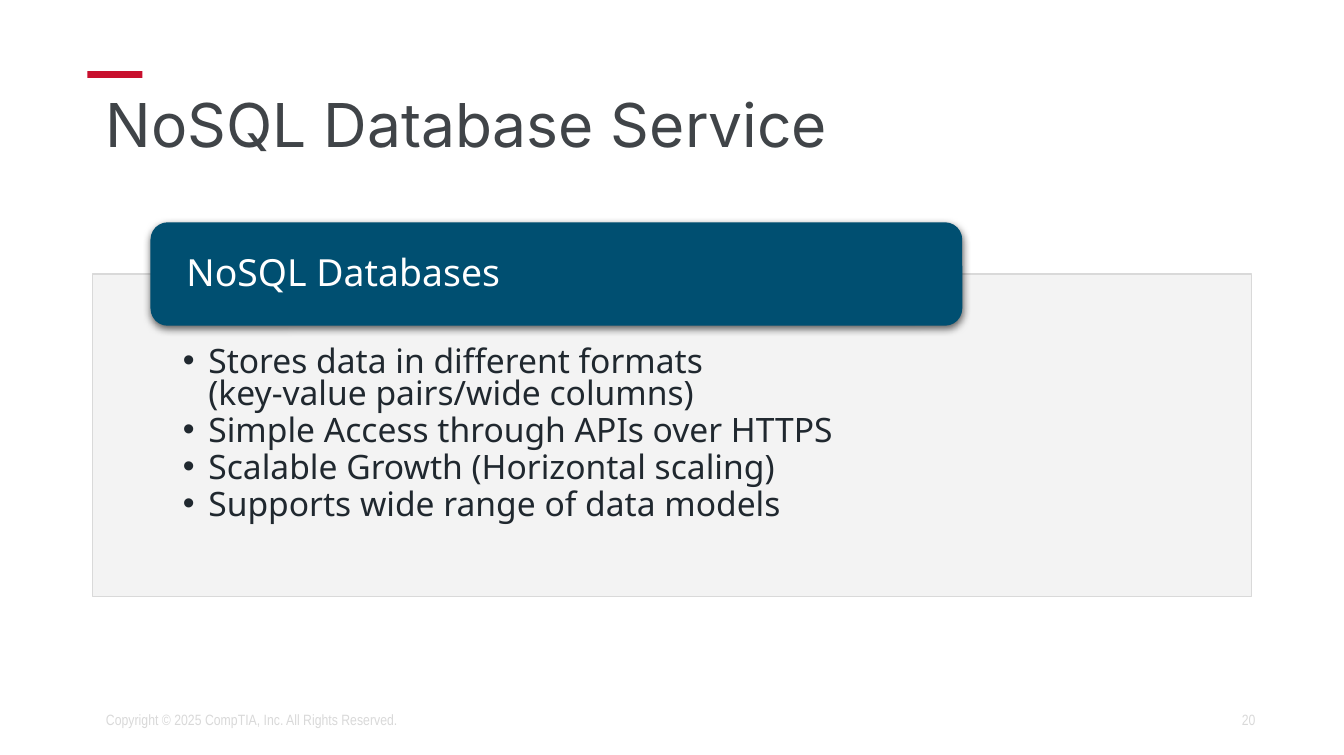
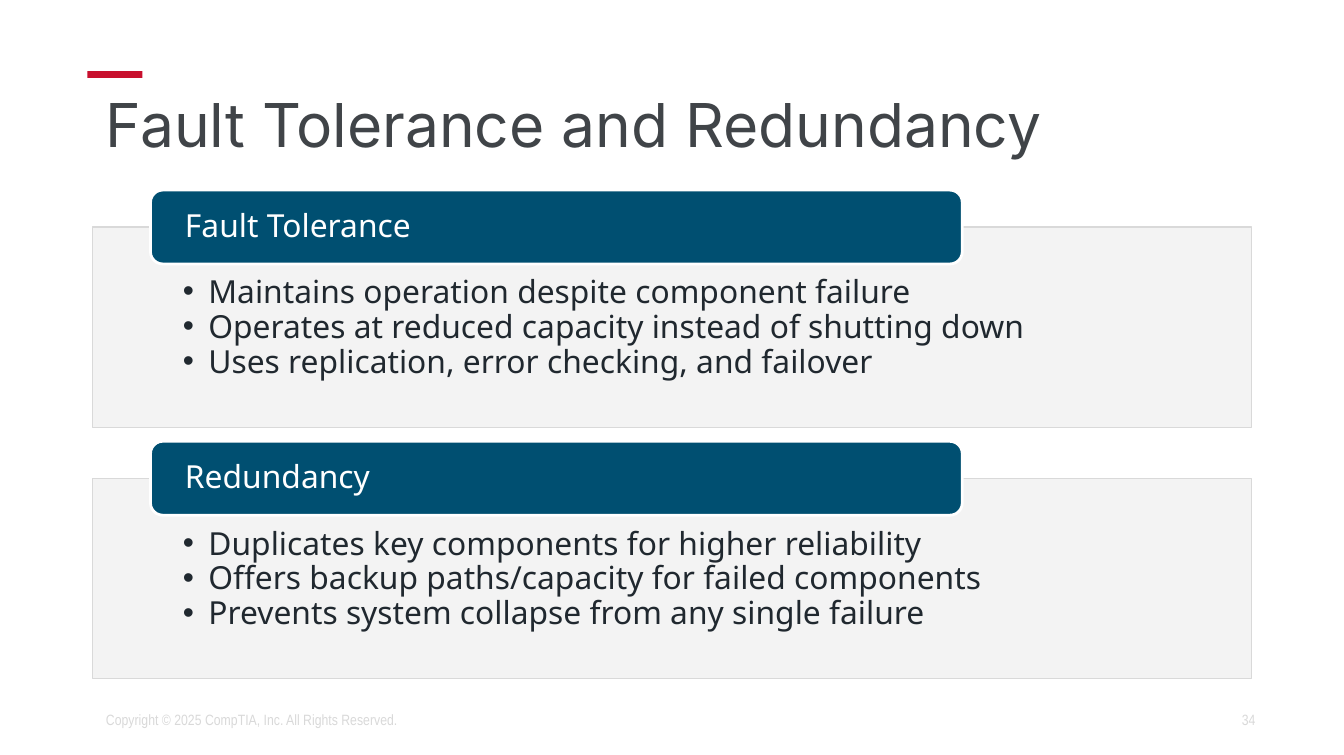
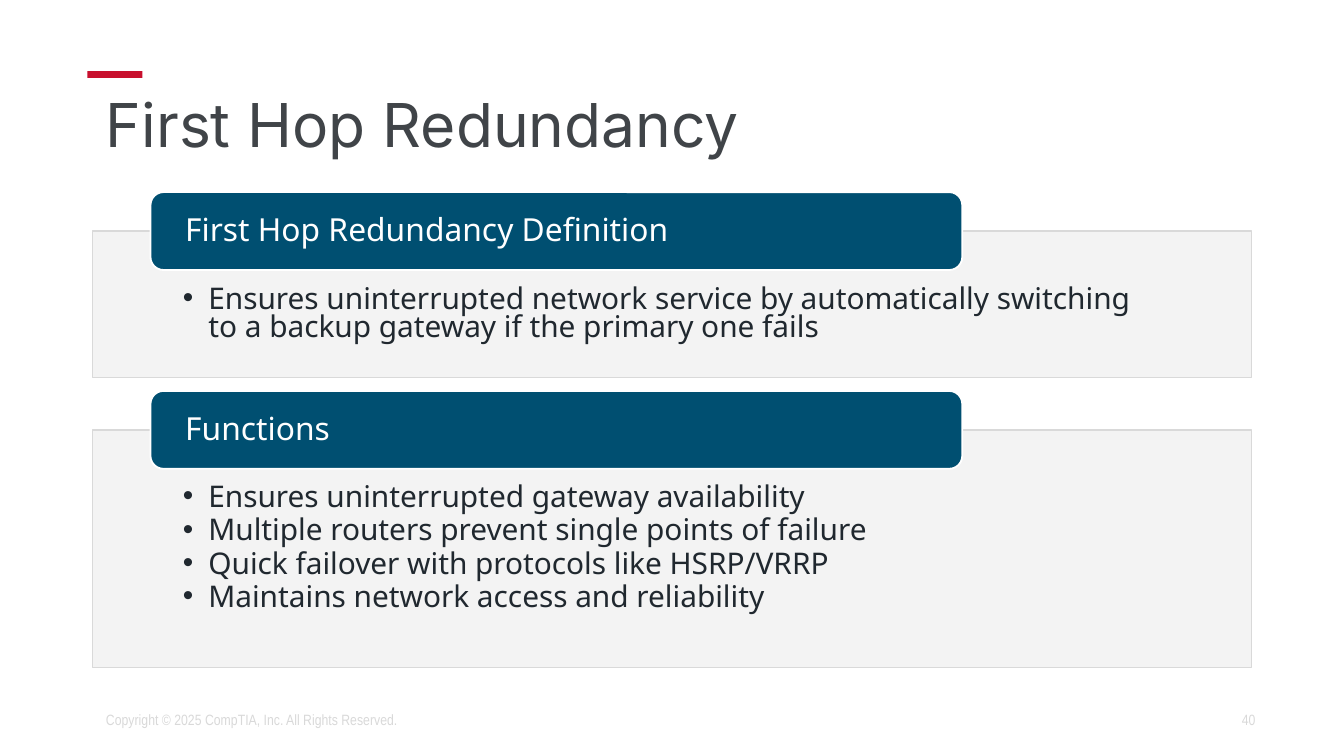
from dataclasses import dataclass

from lxml.etree import SubElement
from pptx import Presentation
from pptx.dml.color import RGBColor
from pptx.enum.shapes import MSO_SHAPE
from pptx.enum.text import MSO_ANCHOR, PP_ALIGN
from pptx.oxml.ns import qn
from pptx.util import Inches, Pt


@dataclass(frozen=True)
class Theme:
    red: str = "C8102E"
    blue: str = "004F71"
    white: str = "FFFFFF"
    panel: str = "F2F2F2"
    pale: str = "D9D9D9"
    title: str = "404448"
    ink: str = "20282F"
    title_font: str = "Inter"
    body_font: str = "Noto Sans"
    foot_font: str = "Arial Narrow"
    title_size: float = 32.4
    foot_size: float = 8


@dataclass(frozen=True)
class Look:
    """Sizes of the panels on one slide; a zero edge means a shadow."""
    head_height: float
    head_size: float
    body_size: float
    inset: float
    edge: float = 0


@dataclass(frozen=True)
class Panel:
    head: str
    items: tuple[str, ...]
    top: float
    height: float


@dataclass(frozen=True)
class Page:
    title: str
    number: int
    look: Look
    panels: tuple[Panel, ...]


THEME = Theme()
LEFT, WIDTH = 0.69, 8.62
COPYRIGHT = "Copyright © 2025 CompTIA, Inc. All Rights Reserved."

PAGES = (
    Page("NoSQL Database Service", 20, Look(0.77, 20, 18, 0.55), (
        Panel("NoSQL Databases", (
            "Stores data in different formats\n(key-value pairs/wide columns)",
            "Simple Access through APIs over HTTPS",
            "Scalable Growth (Horizontal scaling)",
            "Supports wide range of data models",
        ), 2.04, 2.4),
    )),
    Page("Fault Tolerance and Redundancy", 34, Look(0.55, 17, 17, 0.39, 1.5), (
        Panel("Fault Tolerance", (
            "Maintains operation despite component failure",
            "Operates at reduced capacity instead of shutting down",
            "Uses replication, error checking, and failover",
        ), 1.69, 1.49),
        Panel("Redundancy", (
            "Duplicates key components for higher reliability",
            "Offers backup paths/capacity for failed components",
            "Prevents system collapse from any single failure",
        ), 3.56, 1.49),
    )),
    Page("First Hop Redundancy", 40, Look(0.58, 17, 16, 0.41, 1), (
        Panel("First Hop Redundancy Definition", (
            "Ensures uninterrupted network service by automatically switching"
            " to a backup gateway if the primary one fails",
        ), 1.72, 1.09),
        Panel("Functions", (
            "Ensures uninterrupted gateway availability",
            "Multiple routers prevent single points of failure",
            "Quick failover with protocols like HSRP/VRRP",
            "Maintains network access and reliability",
        ), 3.2, 1.77),
    )),
)


def add_bullet(para) -> None:
    props = para._p.get_or_add_pPr()
    props.set("marL", str(Inches(0.19)))
    props.set("indent", str(-Inches(0.19)))
    SubElement(props, qn("a:buFont"), typeface="Arial")
    SubElement(props, qn("a:buChar"), char="•")


def write(shape, *lines: str, font: str, size: float, color: str,
          align=PP_ALIGN.LEFT, anchor=MSO_ANCHOR.MIDDLE, spacing: float = 1,
          after: float = 0, bullet: bool = False,
          insets: tuple[float, ...] = (0.1, 0.05, 0.1, 0.05)) -> None:
    """Fill a shape with one paragraph per line; insets run left, top, right, bottom."""
    frame = shape.text_frame
    frame.word_wrap = True
    frame.vertical_anchor = anchor
    (frame.margin_left, frame.margin_top,
     frame.margin_right, frame.margin_bottom) = map(Inches, insets)
    for index, line in enumerate(lines):
        para = frame.add_paragraph() if index else frame.paragraphs[0]
        para.text = line
        if bullet:
            add_bullet(para)
        para.alignment = align
        para.line_spacing = spacing
        para.space_after = Pt(after)
        for run in para.runs:
            run.font.name = font
            run.font.size = Pt(size)
            run.font.color.rgb = RGBColor.from_string(color)


def add_label(slide, text: str, box: tuple[float, ...], **style) -> None:
    write(slide.shapes.add_textbox(*map(Inches, box)), text, **style)


def add_block(slide, kind, box: tuple[float, ...], fill: str,
              line: str = "", edge: float = 0):
    shape = slide.shapes.add_shape(kind, *map(Inches, box))
    shape.shadow.inherit = False
    shape.fill.solid()
    shape.fill.fore_color.rgb = RGBColor.from_string(fill)
    if edge:
        shape.line.color.rgb = RGBColor.from_string(line)
        shape.line.width = Pt(edge)
    else:
        shape.line.fill.background()
    return shape


def set_alpha(color, percent: int) -> None:
    SubElement(color, qn("a:alpha"), val=str(percent * 1000))


def add_shadow(shape) -> None:
    effects = shape._element.spPr.find(qn("a:effectLst"))
    shadow = SubElement(effects, qn("a:outerShdw"), blurRad=str(Pt(4.5)),
                        dist=str(Pt(1.5)), dir="5400000", rotWithShape="0")
    set_alpha(SubElement(shadow, qn("a:srgbClr"), val="000000"), 63)


def add_panel(slide, panel: Panel, look: Look) -> None:
    """Draw a bulleted panel with its heading centred on the top edge."""
    body = add_block(slide, MSO_SHAPE.RECTANGLE,
                     (LEFT, panel.top, WIDTH, panel.height),
                     THEME.panel, THEME.pale, 0.75)
    set_alpha(body._element.spPr.find(qn("a:solidFill"))[0], 90)
    write(body, *panel.items, font=THEME.body_font, size=look.body_size,
          color=THEME.ink, anchor=MSO_ANCHOR.TOP, spacing=0.8, after=2.4,
          bullet=True, insets=(0.67, look.inset, 0.67, 0.13))

    top = panel.top - look.head_height / 2
    head = add_block(slide, MSO_SHAPE.ROUNDED_RECTANGLE,
                     (1.12, top, 6.04, look.head_height),
                     THEME.blue, THEME.white, look.edge)
    if not look.edge:
        add_shadow(head)
    write(head, panel.head, font=THEME.body_font, size=look.head_size,
          color=THEME.white, spacing=0.9, insets=(0.23, 0, 0.23, 0))


def add_frame(slide, page: Page) -> None:
    """Draw the accent bar, title and footer that all slides share."""
    add_block(slide, MSO_SHAPE.RECTANGLE, (0.65, 0.53, 0.41, 0.05), THEME.red)
    add_label(slide, page.title, (LEFT, 0.64, WIDTH, 0.63), spacing=0.9,
              font=THEME.title_font, size=THEME.title_size, color=THEME.title)
    foot = dict(font=THEME.foot_font, size=THEME.foot_size, color=THEME.pale)
    add_label(slide, str(page.number), (7.06, 5.21, 2.38, 0.3),
              align=PP_ALIGN.RIGHT, **foot)
    add_label(slide, COPYRIGHT, (LEFT, 5.21, 4.31, 0.3), **foot)


def main() -> None:
    deck = Presentation()
    deck.slide_width, deck.slide_height = Inches(10), Inches(5.62)
    for page in PAGES:
        slide = deck.slides.add_slide(deck.slide_layouts[6])
        add_frame(slide, page)
        for panel in page.panels:
            add_panel(slide, panel, page.look)
    deck.save("out.pptx")


if __name__ == "__main__":
    main()
